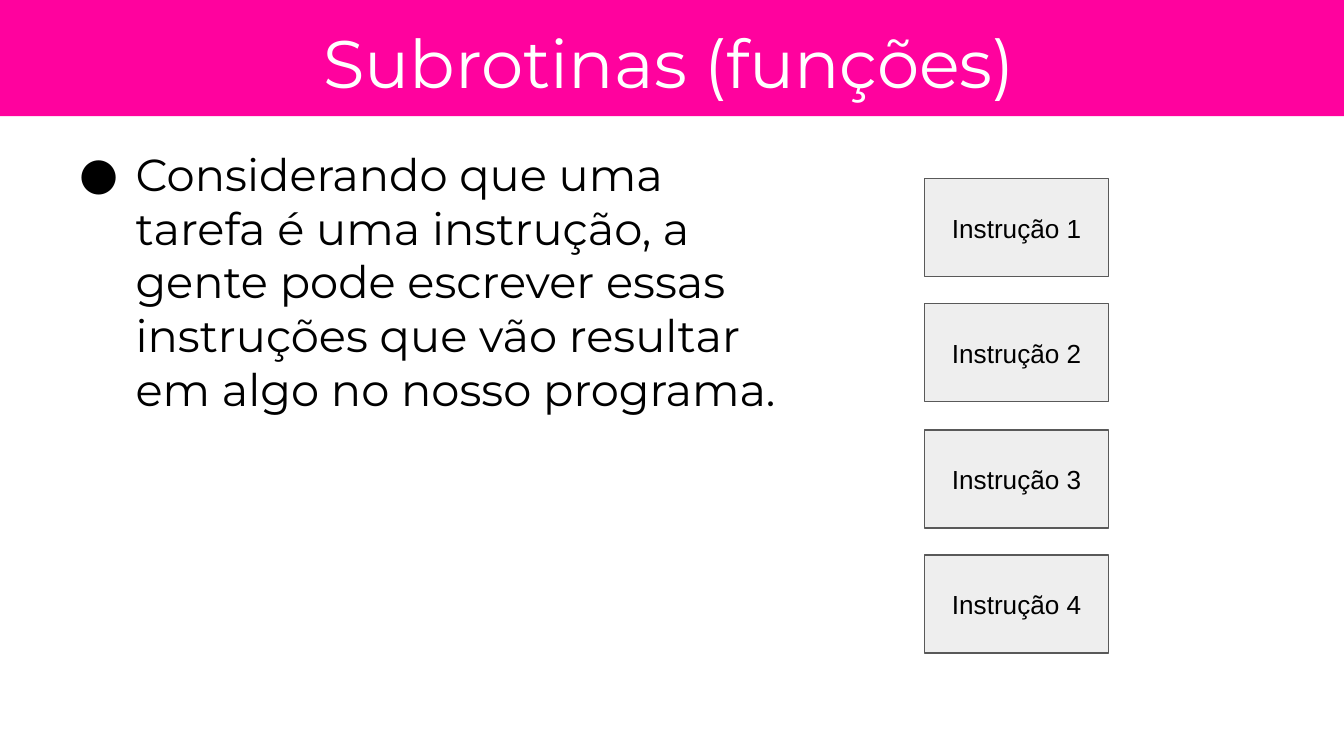
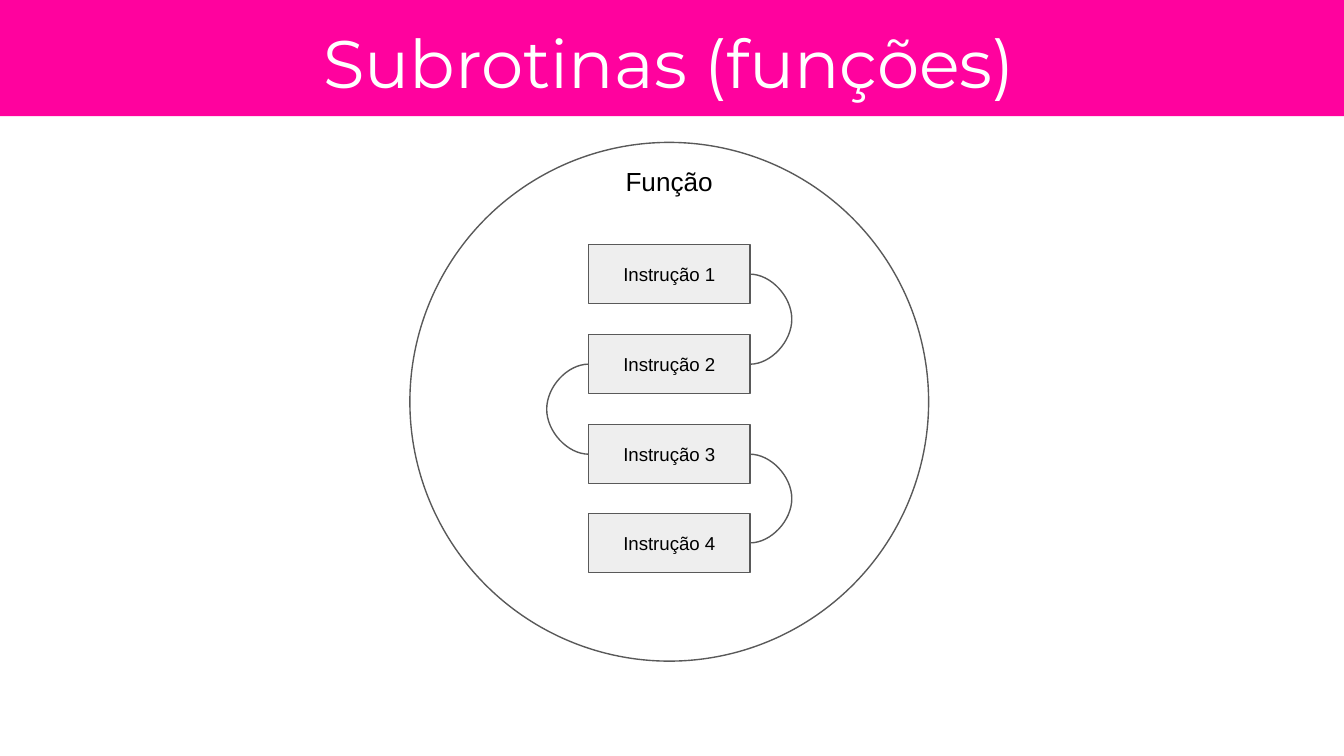
from dataclasses import dataclass

from lxml.etree import SubElement
from pptx import Presentation
from pptx.dml.color import RGBColor
from pptx.enum.shapes import MSO_CONNECTOR, MSO_SHAPE
from pptx.enum.text import MSO_ANCHOR, MSO_AUTO_SIZE, PP_ALIGN
from pptx.oxml.ns import qn
from pptx.util import Emu, Inches, Pt


@dataclass(frozen=True)
class Theme:
    band: RGBColor = RGBColor(0xFF, 0x02, 0x9E)
    paper: RGBColor = RGBColor(0xFF, 0xFF, 0xFF)
    box: RGBColor = RGBColor(0xEE, 0xEE, 0xEE)
    outline: RGBColor = RGBColor(0x59, 0x59, 0x59)
    ink: RGBColor = RGBColor(0, 0, 0)
    heading_font: str = "Montserrat"
    label_font: str = "Arial"
    title_size: int = 36
    body_size: int = 24
    label_size: int = 14
    small_size: int = 10
    line_width: float = 0.75


THEME = Theme()
SLIDE_WIDTH = Inches(10)
SLIDE_HEIGHT = Emu(SLIDE_WIDTH * 9 // 16)
COLUMNS = 100
CELL = SLIDE_WIDTH // COLUMNS
INSTRUCTIONS = [f"Instrução {number}" for number in range(1, 5)]
LEFT_SITE, RIGHT_SITE = 1, 3
CURVE_WIDTH = Emu(600)
CURVE_BULGE = 2.6


def cells(*counts):
    return [Emu(round(count * CELL)) for count in counts]


def write(frame, text, size, font, color, align, anchor=MSO_ANCHOR.TOP):
    frame.word_wrap = True
    frame.auto_size = MSO_AUTO_SIZE.NONE
    frame.vertical_anchor = anchor
    frame.margin_left, frame.margin_top, frame.margin_right, frame.margin_bottom = cells(1, 1, 1, 1)
    paragraph = frame.paragraphs[0]
    paragraph.alignment = align
    run = paragraph.add_run()
    run.text = text
    run.font.size = Pt(size)
    run.font.name = font
    run.font.color.rgb = color
    return paragraph


def add_panel(slide, preset, area, fill, outlined=True):
    panel = slide.shapes.add_shape(preset, *cells(*area))
    panel.shadow.inherit = False
    panel.fill.solid()
    panel.fill.fore_color.rgb = fill
    if outlined:
        panel.line.color.rgb = THEME.outline
        panel.line.width = Pt(THEME.line_width)
    else:
        panel.line.fill.background()
    return panel


def add_titled_slide(deck, heading):
    slide = deck.slides.add_slide(deck.slide_layouts.get_by_name("Title Only"))
    band = add_panel(slide, MSO_SHAPE.RECTANGLE, (0, 0, COLUMNS, 8.65), THEME.band, outlined=False)
    title = slide.shapes.title
    title._element.addprevious(band._element)
    title.left, title.top, title.width, title.height = cells(4.5, 2.1, 90.6, 6.5)
    write(title.text_frame, heading, THEME.title_size, THEME.heading_font,
          THEME.paper, PP_ALIGN.CENTER, MSO_ANCHOR.BOTTOM)
    return slide


def add_bullet(slide, area, text):
    body = slide.shapes.add_textbox(*cells(*area))
    paragraph = write(body.text_frame, text, THEME.body_size, THEME.heading_font,
                      THEME.ink, PP_ALIGN.LEFT)
    paragraph.space_after = Pt(10)
    indent, hanging = cells(5, -4.2)
    properties = paragraph._p.get_or_add_pPr()
    properties.set("marL", str(indent))
    properties.set("indent", str(hanging))
    bullet_color = SubElement(properties, qn("a:buClr"))
    SubElement(bullet_color, qn("a:srgbClr"), val=str(THEME.ink))
    SubElement(properties, qn("a:buFont"), typeface=THEME.heading_font)
    SubElement(properties, qn("a:buChar"), char="●")


def add_label(slide, area, text):
    label = slide.shapes.add_textbox(*cells(*area))
    write(label.text_frame, text, THEME.label_size, THEME.label_font, THEME.ink, PP_ALIGN.CENTER)
    label.text_frame.auto_size = MSO_AUTO_SIZE.SHAPE_TO_FIT_TEXT


def add_instructions(slide, left, tops, width, height, size):
    boxes = []
    for top, instruction in zip(tops, INSTRUCTIONS):
        box = add_panel(slide, MSO_SHAPE.RECTANGLE, (left, top, width, height), THEME.box)
        write(box.text_frame, instruction, size, THEME.label_font, THEME.ink,
              PP_ALIGN.CENTER, MSO_ANCHOR.MIDDLE)
        boxes.append(box)
    return boxes


def add_curve(slide, upper, lower, site):
    on_right = site == RIGHT_SITE
    edge = upper.left + upper.width if on_right else upper.left
    start, finish = (box.top + box.height // 2 for box in (upper, lower))
    curve = slide.shapes.add_connector(MSO_CONNECTOR.CURVE, edge, start, edge, finish)
    curve.begin_connect(upper, site)
    curve.end_connect(lower, site)
    curve.width = CURVE_WIDTH
    curve.line.color.rgb = THEME.outline
    curve.line.width = Pt(THEME.line_width)
    direction = 1 if on_right else -1
    bulge = round(direction * CURVE_BULGE * CELL / CURVE_WIDTH * 100000)
    properties = curve._element.spPr
    adjustments = properties.find(qn("a:prstGeom")).get_or_add_avLst()
    SubElement(adjustments, qn("a:gd"), name="adj1", fmla=f"val {bulge}")
    SubElement(properties, qn("a:effectLst"))


def build_task_slide(deck, heading):
    slide = add_titled_slide(deck, heading)
    add_instructions(slide, 68.8, (13.3, 22.6, 32, 41.3), 13.7, 7.3, THEME.label_size)
    add_bullet(slide, (4.1, 9.9, 55.9, 39.8),
               "Considerando que uma tarefa é uma instrução, a gente pode escrever "
               "essas instruções que vão resultar em algo no nosso programa.")


def build_function_slide(deck, heading):
    slide = add_titled_slide(deck, heading)
    add_panel(slide, MSO_SHAPE.OVAL, (30.5, 10.6, 38.6, 38.6), THEME.paper)
    add_label(slide, (44, 11.3, 11.6, 4.4), "Função")
    steps = add_instructions(slide, 43.8, (18.2, 24.9, 31.6, 38.2), 12, 4.4, THEME.small_size)
    for upper, lower, site in zip(steps, steps[1:], (RIGHT_SITE, LEFT_SITE, RIGHT_SITE)):
        add_curve(slide, upper, lower, site)


def main():
    deck = Presentation()
    deck.slide_width, deck.slide_height = SLIDE_WIDTH, SLIDE_HEIGHT
    heading = "Subrotinas (funções)"
    build_task_slide(deck, heading)
    build_function_slide(deck, heading)
    deck.save("out.pptx")


if __name__ == "__main__":
    main()
